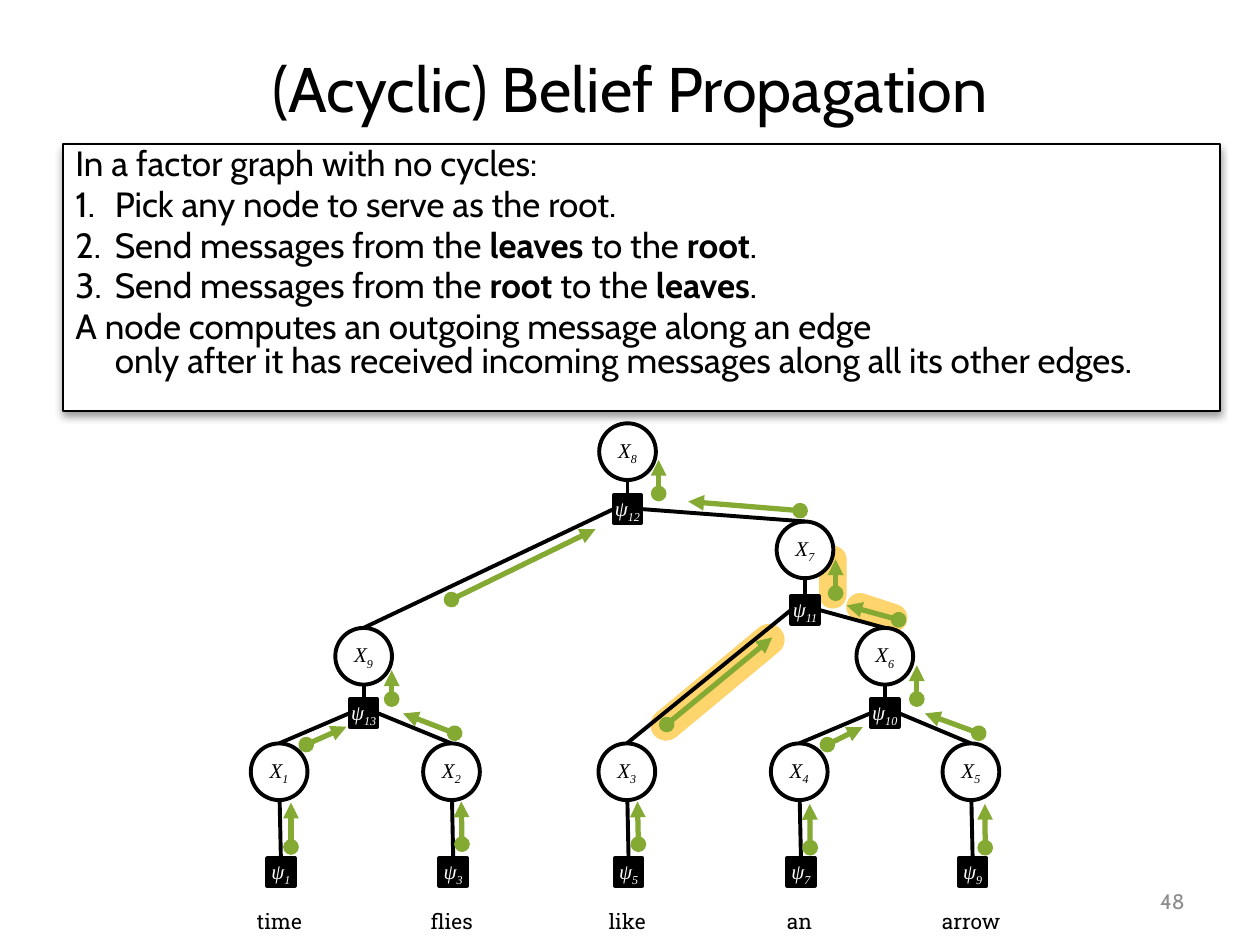
from pptx import Presentation
from pptx.dml.color import RGBColor
from pptx.enum.shapes import MSO_CONNECTOR, MSO_SHAPE
from pptx.enum.text import MSO_ANCHOR, PP_ALIGN
from pptx.oxml.ns import qn
from pptx.util import Pt
from lxml import etree

BLACK = RGBColor(0x00, 0x00, 0x00)
WHITE = RGBColor(0xFF, 0xFF, 0xFF)
GREY = RGBColor(0x8C, 0x8C, 0x8C)
GREEN = RGBColor(0x84, 0xAA, 0x33)
AMBER = RGBColor(0xFE, 0xD4, 0x6C)

RECT, OVAL, PILL = MSO_SHAPE.RECTANGLE, MSO_SHAPE.OVAL, MSO_SHAPE.ROUNDED_RECTANGLE
STRAIGHT = MSO_CONNECTOR.STRAIGHT
TOP, MIDDLE = MSO_ANCHOR.TOP, MSO_ANCHOR.MIDDLE
LEFT, CENTER, RIGHT = PP_ALIGN.LEFT, PP_ALIGN.CENTER, PP_ALIGN.RIGHT

BODY_FONT, WORD_FONT, MATH_FONT = "Cabin", "Roboto Slab", "Times New Roman"

RADIUS = 16.2        # variable circle
HALF = 7.9           # half a factor square
LEAF_Y, LEAF_FACTOR_Y, WORD_Y = 441, 498.2, 515.5
INDENT = 22.5

# Variable index, centre x, factor index, word
LEAVES = [
    (1, 159.5, 1, "time"),
    (2, 258, 3, "flies"),
    (3, 358.2, 5, "like"),
    (4, 456.7, 7, "an"),
    (5, 554.8, 9, "arrow"),
]
# Variable index, centre x, centre y, factor index, factor y, child variables
INNER = [
    (6, 505.6, 375, 10, 407.5, (4, 5)),
    (9, 207.8, 375, 13, 407.5, (1, 2)),
    (7, 460, 314.2, 11, 348.5, (3, 6)),
    (8, 358.6, 258.1, 12, 290.9, (9, 7)),
]
# Start x, start y, end x, end y of each message
MESSAGES = [
    (166.3, 484, 166.3, 458.6), (264, 482.4, 263.6, 458),
    (364.8, 482.4, 364.3, 458), (463, 484.4, 462.7, 459.4),
    (563, 484.4, 562.8, 459.4),
    (175, 425.5, 198, 415.3), (259.8, 419, 230.3, 407.7),
    (223.8, 399.5, 223.8, 383),
    (381, 414, 441.3, 364.3),
    (472.8, 425.5, 493, 415.5), (559.3, 419, 528.5, 407.7),
    (523.9, 399.5, 523.9, 380.2),
    (258, 342.6, 340.3, 302.4),
    (513.5, 354.2, 483.8, 346), (477.5, 339, 477.5, 319.6),
    (457.2, 291.8, 393.3, 286.6), (376.4, 282, 376.4, 262.8),
]
# Left, top, width, height, rotation of each highlight
HIGHLIGHTS = [
    (401, 342.7, 18, 94.3, 230.3),
    (468, 311.8, 15.8, 36, 0),
    (493.2, 331.9, 15.8, 36, 288.2),
]
# Numbered or not, then runs of text and boldness; None breaks the line
RULES = [
    (False, [("In a factor graph with no cycles:", False)]),
    (True, [("Pick any node to serve as the root.", False)]),
    (True, [("Send messages from the ", False), ("leaves", True),
            (" to the ", False), ("root", True), (".", False)]),
    (True, [("Send messages from the ", False), ("root", True),
            (" to the ", False), ("leaves", True), (".", False)]),
    (False, [("A node computes an outgoing message along an edge", False), None,
             ("only after it has received incoming messages along all its other edges.",
              False)]),
]


def add_run(paragraph, text, font, size, color, bold=False, italic=False):
    run = paragraph.add_run()
    run.text = text
    run.font.name = font
    run.font.size = Pt(size)
    run.font.color.rgb = color
    run.font.bold = bold
    run.font.italic = italic
    return run


def add_label(slide, text, box, font, size, color, align):
    frame = slide.shapes.add_textbox(*map(Pt, box)).text_frame
    frame.word_wrap = True
    frame.vertical_anchor = MIDDLE
    paragraph = frame.paragraphs[0]
    paragraph.alignment = align
    add_run(paragraph, text, font, size, color)


def add_filled(slide, kind, box, fill, line_width=None):
    shape = slide.shapes.add_shape(kind, *map(Pt, box))
    shape.shadow.inherit = False
    shape.fill.solid()
    shape.fill.fore_color.rgb = fill
    if line_width is None:
        shape.line.fill.background()
    else:
        shape.line.color.rgb = BLACK
        shape.line.width = Pt(line_width)
    return shape


def add_highlight(slide, left, top, width, height, rotation):
    pill = add_filled(slide, PILL, (left, top, width, height), AMBER)
    pill.adjustments[0] = 0.5
    pill.rotation = rotation


def add_line(slide, start, end, color, width):
    line = slide.shapes.add_connector(STRAIGHT, *map(Pt, (*start, *end)))
    line.line.color.rgb = color
    line.line.width = Pt(width)
    etree.SubElement(line._element.spPr, qn("a:effectLst"))
    return line


def add_message(slide, start, end):
    message = add_line(slide, start, end, GREEN, 3)
    outline = message._element.spPr.find(qn("a:ln"))
    etree.SubElement(outline, qn("a:headEnd"), type="oval")
    etree.SubElement(outline, qn("a:tailEnd"), type="triangle")


def add_node(slide, kind, x, y, half, symbol, index, fill, color, anchor):
    node = add_filled(slide, kind, (x - half, y - half, 2 * half, 2 * half), fill, 2.25)
    frame = node.text_frame
    frame.margin_left = frame.margin_right = frame.margin_top = frame.margin_bottom = 0
    frame.word_wrap = False
    frame.vertical_anchor = anchor
    paragraph = frame.paragraphs[0]
    paragraph.alignment = CENTER
    add_run(paragraph, symbol, MATH_FONT, 12, color, italic=True)
    subscript = add_run(paragraph, str(index), MATH_FONT, 12, color, italic=True)
    subscript._r.get_or_add_rPr().set("baseline", "-25000")


def add_variable(slide, x, y, index):
    add_node(slide, OVAL, x, y, RADIUS, "X", index, WHITE, BLACK, MIDDLE)


def add_factor(slide, x, y, index):
    add_node(slide, RECT, x, y, HALF, "ψ", index, BLACK, WHITE, TOP)


def add_rules(slide):
    box = add_filled(slide, RECT, (36, 82.2, 661, 152.6), WHITE, 1)
    # Soft shadow below the box
    effects = box._element.spPr.find(qn("a:effectLst"))
    shadow = etree.SubElement(effects, qn("a:outerShdw"), blurRad=str(Pt(4)),
                              dist=str(Pt(3)), dir="5400000", rotWithShape="0")
    shade = etree.SubElement(shadow, qn("a:srgbClr"), val=str(BLACK))
    etree.SubElement(shade, qn("a:alpha"), val="40000")

    frame = box.text_frame
    frame.word_wrap = True
    frame.vertical_anchor = TOP
    for position, (numbered, runs) in enumerate(RULES):
        paragraph = frame.add_paragraph() if position else frame.paragraphs[0]
        properties = paragraph._p.get_or_add_pPr()
        properties.set("marL", str(Pt(INDENT)))
        properties.set("indent", str(-Pt(INDENT)))
        if numbered:
            etree.SubElement(properties, qn("a:buFont"), typeface="+mj-lt")
            etree.SubElement(properties, qn("a:buAutoNum"), type="arabicPeriod")
        paragraph.alignment = LEFT
        paragraph.line_spacing = 0.8
        if position:
            paragraph.space_before = Pt(4)
        for part in runs:
            if part is None:
                paragraph.add_line_break()
            else:
                add_run(paragraph, part[0], BODY_FONT, 20, BLACK, bold=part[1])


def add_tree(slide):
    centres = {}
    # Leaves with their factors and words
    for index, x, factor, word in LEAVES:
        centres[index] = (x, LEAF_Y)
        add_variable(slide, x, LEAF_Y, index)
        add_factor(slide, x + 1, LEAF_FACTOR_Y, factor)
        add_line(slide, (x + 0.3, LEAF_Y + RADIUS), (x + 1, LEAF_FACTOR_Y - HALF), BLACK, 2.25)
        add_label(slide, word, (x - 43, WORD_Y, 86.4, 21.6), WORD_FONT, 12, BLACK, CENTER)
    # Inner variables, each above the factor that joins its children
    for index, x, y, factor, factor_y, _ in INNER:
        centres[index] = (x, y)
        add_variable(slide, x, y, index)
        add_factor(slide, x, factor_y, factor)
        add_line(slide, (x, factor_y - HALF), (x, y + RADIUS), BLACK, 2.25)
    for _, x, _, _, factor_y, children in INNER:
        for side, child in zip((-HALF, HALF), children):
            child_x, child_y = centres[child]
            add_line(slide, (x + side, factor_y), (child_x, child_y - RADIUS), BLACK, 2.25)


def main():
    deck = Presentation()
    deck.slide_width, deck.slide_height = Pt(720), Pt(540)
    slide = deck.slides.add_slide(deck.slide_layouts[6])

    for highlight in HIGHLIGHTS:
        add_highlight(slide, *highlight)
    # Title and slide number
    add_label(slide, "(Acyclic) Belief Propagation", (36, 21.6, 648, 57), BODY_FONT, 36,
              BLACK, CENTER)
    add_label(slide, "48", (516, 500.5, 168, 28.8), BODY_FONT, 12, GREY, RIGHT)
    add_rules(slide)
    add_tree(slide)
    # Messages from the leaves to the root
    for x1, y1, x2, y2 in MESSAGES:
        add_message(slide, (x1, y1), (x2, y2))
    deck.save("out.pptx")


if __name__ == "__main__":
    main()
